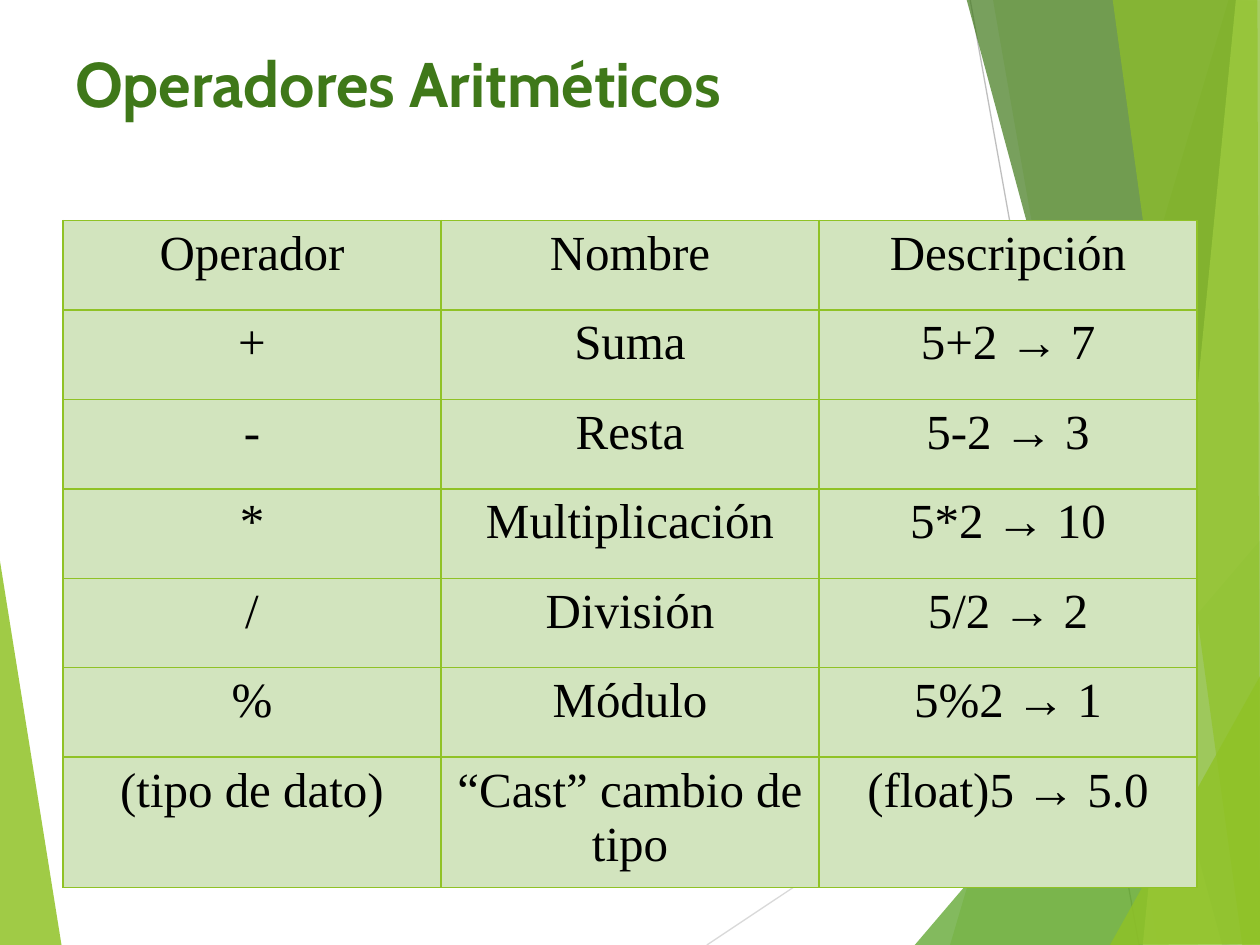
from typing import NamedTuple

import pptx
import pptx.dml.color
import pptx.enum.shapes
import pptx.enum.text
import pptx.oxml
import pptx.oxml.ns
import pptx.util
from pptx.util import Inches

RGBColor = pptx.dml.color.RGBColor
qn = pptx.oxml.ns.qn

GREEN = RGBColor(0x90, 0xC2, 0x26)
MID_GREEN = RGBColor(0x54, 0xA0, 0x21)
DARK_GREEN = RGBColor(0x3F, 0x78, 0x19)
LIME = RGBColor(0xC0, 0xE4, 0x74)
PALE_GREEN = RGBColor(0xD2, 0xE4, 0xBE)
LIGHT_GRAY = RGBColor(0xD9, 0xD9, 0xD9)
GRAY = RGBColor(0xBF, 0xBF, 0xBF)
BLACK = RGBColor(0, 0, 0)


class Facet(NamedTuple):
    points: list[tuple[float, float]]
    color: RGBColor
    opacity: int


class Ray(NamedTuple):
    start: tuple[float, float]
    end: tuple[float, float]
    color: RGBColor


LEFT_FACET = Facet([(-0.01, 4.39), (0.49, 7.51), (-0.01, 7.5)], GREEN, 85)
RAYS = [
    Ray((5.61, 7.5), (10.01, 4.57), LIGHT_GRAY),
    Ray((7.7, 0), (9.04, 7.5), GRAY),
]
RIGHT_FACETS = [
    Facet([(9.75, 0), (7.54, 7.5), (10.02, 7.51), (10.01, 0.01)], GREEN, 30),
    Facet([(7.88, -0.01), (9.19, 7.5), (10.01, 7.5), (10.01, -0.01)], GREEN, 20),
    Facet([(7.26, 7.5), (10, 4.29), (10.01, 7.5)], MID_GREEN, 72),
    Facet([(7.67, -0.01), (9.7, 7.5), (10.01, 7.49), (10.01, -0.01)], DARK_GREEN, 70),
    Facet([(9.81, -0.01), (9.07, 7.5), (10.01, 7.5), (10, -0.01)], LIME, 70),
    Facet([(8.83, -0.01), (9.86, 7.5), (10, 7.5), (9.98, -0.01)], GREEN, 65),
    Facet([(8.81, 7.5), (10.01, 5.35), (10.01, 7.49)], GREEN, 80),
]

ROWS = [
    ("Operador", "Nombre", "Descripción"),
    ("+", "Suma", "5+2 → 7"),
    ("-", "Resta", "5-2 → 3"),
    ("*", "Multiplicación", "5*2 → 10"),
    ("/", "División", "5/2 → 2"),
    ("%", "Módulo", "5%2 → 1"),
    ("(tipo de dato)", "“Cast” cambio de tipo", "(float)5 → 5.0"),
]

TITLE_FORMAT = {"name": "Cabin", "size": pptx.util.Pt(36), "bold": True}
CELL_FORMAT = {"name": "Times New Roman", "size": pptx.util.Pt(28), "bold": False}


def add_facet(s, facet: Facet) -> None:
    first, *rest = [(Inches(x), Inches(y)) for x, y in facet.points]
    builder = s.shapes.build_freeform(*first)
    builder.add_line_segments(rest, close=True)
    sp = builder.convert_to_shape()
    sp.shadow.inherit = False
    sp.line.fill.background()
    sp.fill.solid()
    sp.fill.fore_color.rgb = facet.color
    color = sp._element.spPr.find(qn("a:solidFill"))[0]
    alpha = pptx.oxml.ns.qn("a:alpha")
    color.makeelement(alpha)
    color.append(color.makeelement(alpha, {"val": str(facet.opacity * 1000)}))


def add_ray(s, ray: Ray) -> None:
    line = s.shapes.add_connector(
        pptx.enum.shapes.MSO_CONNECTOR.STRAIGHT,
        *[Inches(v) for v in ray.start + ray.end])
    line.line.color.rgb = ray.color
    line.line.width = pptx.util.Pt(0.75)
    spPr = line._element.spPr
    spPr.append(spPr.makeelement(qn("a:effectLst")))


def write_text(tf, text: str, formats: dict, color: RGBColor) -> None:
    p = tf.paragraphs[0]
    r = p.add_run()
    r.text = text
    for name, value in formats.items():
        setattr(r.font, name, value)
    r.font.color.rgb = color


def add_borders(cell, color: RGBColor) -> None:
    tcPr = cell._tc.get_or_add_tcPr()
    for side in ("lnL", "lnR", "lnT", "lnB"):
        tcPr.append(pptx.oxml.parse_xml(
            f'<a:{side} {pptx.oxml.ns.nsdecls("a")} w="12700"><a:solidFill>'
            f'<a:srgbClr val="{color}"/></a:solidFill></a:{side}>'))


def add_operator_table(s) -> None:
    table = s.shapes.add_table(
        len(ROWS), len(ROWS[0]),
        Inches(0.5), Inches(1.75), Inches(9), Inches(4.95)).table
    table.first_row = False
    table.horz_banding = False
    for row, texts in zip(table.rows, ROWS):
        row.height = Inches(0.71)
        for cell, text in zip(row.cells, texts):
            add_borders(cell, GREEN)
            cell.fill.solid()
            cell.fill.fore_color.rgb = PALE_GREEN
            write_text(cell.text_frame, text, CELL_FORMAT, BLACK)
            cell.text_frame.paragraphs[0].alignment = pptx.enum.text.PP_ALIGN.CENTER


def main() -> None:
    prs = pptx.Presentation()
    prs.slide_width, prs.slide_height = Inches(10), Inches(7.5)
    s = prs.slides.add_slide(prs.slide_layouts[6])

    # Background facets and thin rays
    add_facet(s, LEFT_FACET)
    for ray in RAYS:
        add_ray(s, ray)
    for facet in RIGHT_FACETS:
        add_facet(s, facet)

    # Title
    title = s.shapes.add_textbox(Inches(0.5), Inches(0.3), Inches(9), Inches(1.25))
    title.text_frame.word_wrap = True
    write_text(title.text_frame, "Operadores Aritméticos", TITLE_FORMAT, DARK_GREEN)

    # Operators
    add_operator_table(s)

    prs.save("out.pptx")


if __name__ == "__main__":
    main()
